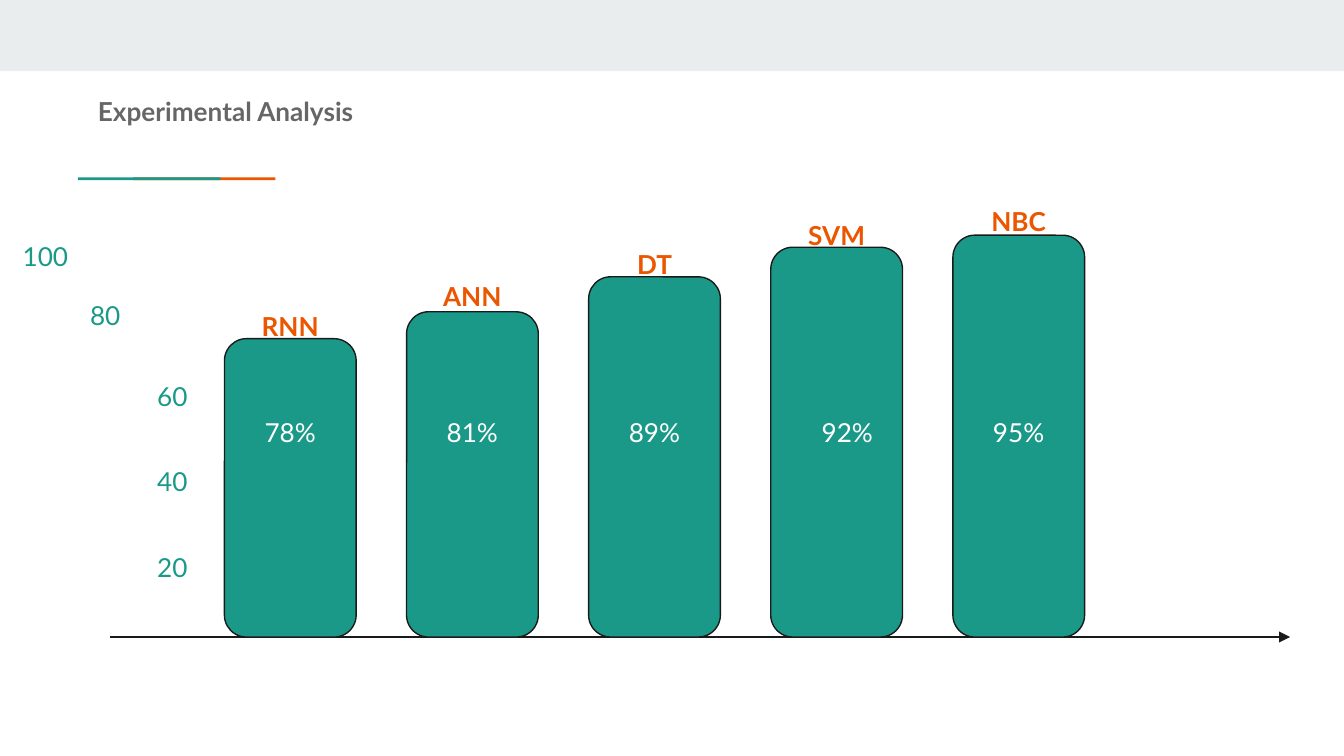
from pptx import Presentation
from pptx.dml.color import RGBColor
from pptx.enum.shapes import MSO_CONNECTOR, MSO_SHAPE
from pptx.enum.text import PP_ALIGN
from pptx.oxml.ns import qn
from pptx.util import Inches, Pt
from lxml.etree import SubElement

TEAL = RGBColor(0x1A, 0x99, 0x88)
ORANGE = RGBColor(0xEB, 0x56, 0x00)
GREY = RGBColor(0x66, 0x66, 0x66)
PALE = RGBColor(0xE9, 0xED, 0xEE)
INK = RGBColor(0x1A, 0x1A, 0x1A)
WHITE = RGBColor(0xFF, 0xFF, 0xFF)

TITLE = "Experimental Analysis"
# name, value, bar top, name top, left offset of the value inside the bar
BARS = [
    ("RNN", "78%", 2.52, 2.21, 0.17),
    ("ANN", "81%", 2.32, 1.99, 0.17),
    ("DT", "89%", 2.06, 1.75, 0.17),
    ("SVM", "92%", 1.84, 1.53, 0.25),
    ("NBC", "95%", 1.75, 1.43, 0.17),
]
# scale text, top, indent
SCALE = [
    ("20", 4.0, 1.0),
    ("40", 3.36, 1.0),
    ("60", 2.73, 1.0),
    ("80", 2.13, 0.5),
    ("100", 1.69, 0.0),
]
# left, colour of the overlapping title rules
RULES = [(0.99, ORANGE), (0.58, TEAL)]

BASELINE = 4.74
BAR_LEFT, BAR_RIGHT, BAR_W = 1.67, 8.07, 0.98
BAR_PITCH = (BAR_RIGHT - BAR_W - BAR_LEFT) / (len(BARS) - 1)
NAME_W = 0.7
INSET = 0.1


def add_box(s, kind, x, y, w, h, fill, line=None):
    sp = s.shapes.add_shape(kind, Inches(x), Inches(y), Inches(w), Inches(h))
    sp.shadow.inherit = False
    sp.fill.solid()
    sp.fill.fore_color.rgb = fill
    if line is None:
        sp.line.fill.background()
    else:
        sp.line.color.rgb = line
        sp.line.width = Pt(0.75)


def add_text(s, text, x, y, w, h, color, bold=False, align=PP_ALIGN.LEFT, indent=0):
    tf = s.shapes.add_textbox(Inches(x), Inches(y), Inches(w), Inches(h)).text_frame
    tf.word_wrap = True
    tf.margin_left = Inches(INSET + indent)
    tf.margin_right = tf.margin_top = tf.margin_bottom = Inches(INSET)
    p = tf.paragraphs[0]
    p.alignment = align
    r = p.add_run()
    r.text = text
    r.font.name = "Lato"
    r.font.size = Pt(14)
    r.font.bold = bold
    r.font.color.rgb = color


# Widescreen 16:9 slide
prs = Presentation()
prs.slide_width = Inches(10)
prs.slide_height = Inches(10) * 9 // 16
s = prs.slides.add_slide(prs.slide_layouts[6])

# Top band and the two-colour title rule
add_box(s, MSO_SHAPE.RECTANGLE, 0, 0, 10, 0.53, PALE)
for x, color in RULES:
    add_box(s, MSO_SHAPE.RECTANGLE, x, 1.32, 1.06, 0.02, color)

# Horizontal axis with arrowhead
axis = s.shapes.add_connector(MSO_CONNECTOR.STRAIGHT, Inches(0.82), Inches(BASELINE),
                              Inches(9.6), Inches(BASELINE))
axis.line.color.rgb = INK
axis.line.width = Pt(0.75)
spPr = axis._element.spPr
SubElement(spPr.find(qn("a:ln")), qn("a:tailEnd"), type="triangle")
SubElement(spPr, qn("a:effectLst"))

# Vertical scale
for text, y, indent in SCALE:
    add_text(s, text, 0.07, y, 1.53, 0.39, TEAL, indent=indent)

# Bars, each with its name above and value inside
for i, (name, value, top, name_top, value_dx) in enumerate(BARS):
    x = BAR_LEFT + i * BAR_PITCH
    add_box(s, MSO_SHAPE.ROUNDED_RECTANGLE, x, top, BAR_W, BASELINE - top, TEAL, INK)
    add_text(s, name, x + (BAR_W - NAME_W) / 2, name_top, NAME_W, 0.24,
             ORANGE, bold=True, align=PP_ALIGN.CENTER)
    add_text(s, value, x + value_dx, 3, 0.64, 0.52, WHITE, align=PP_ALIGN.CENTER)

# Title
add_text(s, TITLE, 0.63, 0.61, 2.3, 0.59, GREY, bold=True)

prs.save("out.pptx")
